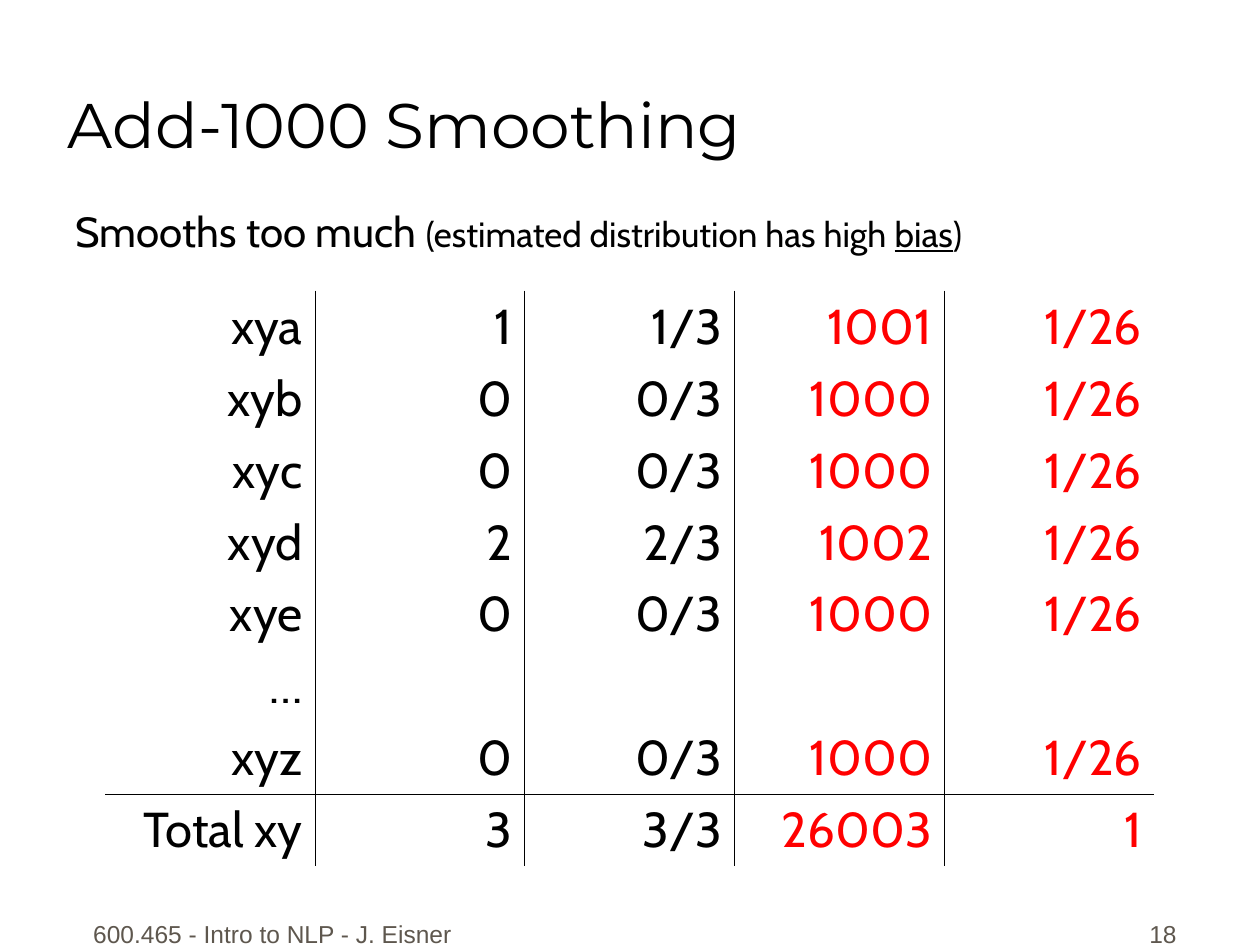
from lxml.etree import SubElement
from pptx import Presentation
from pptx.dml.color import RGBColor
from pptx.enum.text import MSO_ANCHOR, PP_ALIGN
from pptx.oxml.ns import qn
from pptx.util import Cm, Pt

# Content
COLORS = {"text": "000000", "added": "FF0000", "footer": "5E574E"}
TITLE = "Add-1000 Smoothing"
REMARK = [  # text, size, underline
    ("Smooths too much ", 24, False),
    ("(estimated distribution has high ", 20, False),
    ("bias", 20, True),
    (")", 20, False),
]
FOOTER = "600.465 - Intro to NLP - J. Eisner"
SLIDE_NUMBER = "18"
COUNTS = [  # trigram, count, estimate, smoothed count, smoothed estimate
    ("xya", "1", "1/3", "1001", "1/26"),
    ("xyb", "0", "0/3", "1000", "1/26"),
    ("xyc", "0", "0/3", "1000", "1/26"),
    ("xyd", "2", "2/3", "1002", "1/26"),
    ("xye", "0", "0/3", "1000", "1/26"),
    ("…", "", "", "", ""),
    ("xyz", "0", "0/3", "1000", "1/26"),
    ("Total xy", "3", "3/3", "26003", "1"),
]
FIRST_ADDED_COLUMN = 3
COLUMN_WIDTH, ROW_HEIGHT = 4.23, 1.45
BORDER_WIDTH = Pt(0.45)


def add_run(paragraph, text, size, font, color, underline=False):
    run = paragraph.add_run()
    run.text = text
    run.font.size = Pt(size)
    run.font.name = font
    run.font.underline = underline
    run.font.color.rgb = RGBColor.from_string(COLORS[color])


def add_text(slide, box, runs, font, color="text", align=PP_ALIGN.LEFT,
             anchor=MSO_ANCHOR.TOP, bottom_margin=0.13):
    frame = slide.shapes.add_textbox(*map(Cm, box)).text_frame
    frame.word_wrap = True
    frame.vertical_anchor = anchor
    frame.margin_bottom = Cm(bottom_margin)
    paragraph = frame.paragraphs[0]
    paragraph.alignment = align
    for text, size, underline in runs:
        add_run(paragraph, text, size, font, color, underline)


def set_borders(cell, drawn):
    """Rule the sides named in drawn (L, R, T, B) and clear the others."""
    properties = cell._tc.get_or_add_tcPr()
    for position, side in enumerate("LRTB"):
        line = SubElement(properties, qn(f"a:ln{side}"), w=str(BORDER_WIDTH))
        properties.insert(position, line)
        if side in drawn:
            fill = SubElement(line, qn("a:solidFill"))
            SubElement(fill, qn("a:srgbClr"), val=COLORS["text"])
        else:
            SubElement(line, qn("a:noFill"))


def add_count_table(slide, left, top):
    rows, columns = len(COUNTS), len(COUNTS[0])
    table = slide.shapes.add_table(
        rows, columns, Cm(left), Cm(top),
        Cm(columns * COLUMN_WIDTH), Cm(rows * ROW_HEIGHT)).table
    table.first_row = table.horz_banding = False
    for column in table.columns:
        column.width = Cm(COLUMN_WIDTH)
    for row_index, values in enumerate(COUNTS):
        table.rows[row_index].height = Cm(ROW_HEIGHT)
        for column_index, value in enumerate(values):
            cell = table.cell(row_index, column_index)
            cell.fill.background()
            # Inner vertical rules, and one rule above the total
            rules = {"L": column_index > 0, "R": column_index < columns - 1,
                     "T": row_index == rows - 1, "B": row_index == rows - 2}
            set_borders(cell, [side for side, drawn in rules.items() if drawn])
            paragraph = cell.text_frame.paragraphs[0]
            paragraph.alignment = PP_ALIGN.RIGHT
            if value:
                color = "added" if column_index >= FIRST_ADDED_COLUMN else "text"
                add_run(paragraph, value, 28, "Cabin", color)


def main():
    presentation = Presentation()
    presentation.slide_width, presentation.slide_height = Cm(25.4), Cm(19.05)
    slide = presentation.slides.add_slide(presentation.slide_layouts[6])

    # Footer and slide number
    add_text(slide, (1.47, 17.98, 8.05, 1.27), [(FOOTER, 14, False)], "Arial",
             "footer", PP_ALIGN.CENTER, MSO_ANCHOR.BOTTOM)
    add_text(slide, (18.69, 17.98, 5.28, 1.27), [(SLIDE_NUMBER, 14, False)],
             "Arial", "footer", PP_ALIGN.RIGHT, MSO_ANCHOR.BOTTOM)

    # Title, table and remark
    add_text(slide, (1.12, 0.15, 24.28, 3.18), [(TITLE, 36, False)],
             "Montserrat", anchor=MSO_ANCHOR.BOTTOM, bottom_margin=0.08)
    add_count_table(slide, 2.12, 5.86)
    add_text(slide, (1.27, 4.02, 24.13, 12.9), REMARK, "Cabin")

    presentation.save("out.pptx")


if __name__ == "__main__":
    main()
